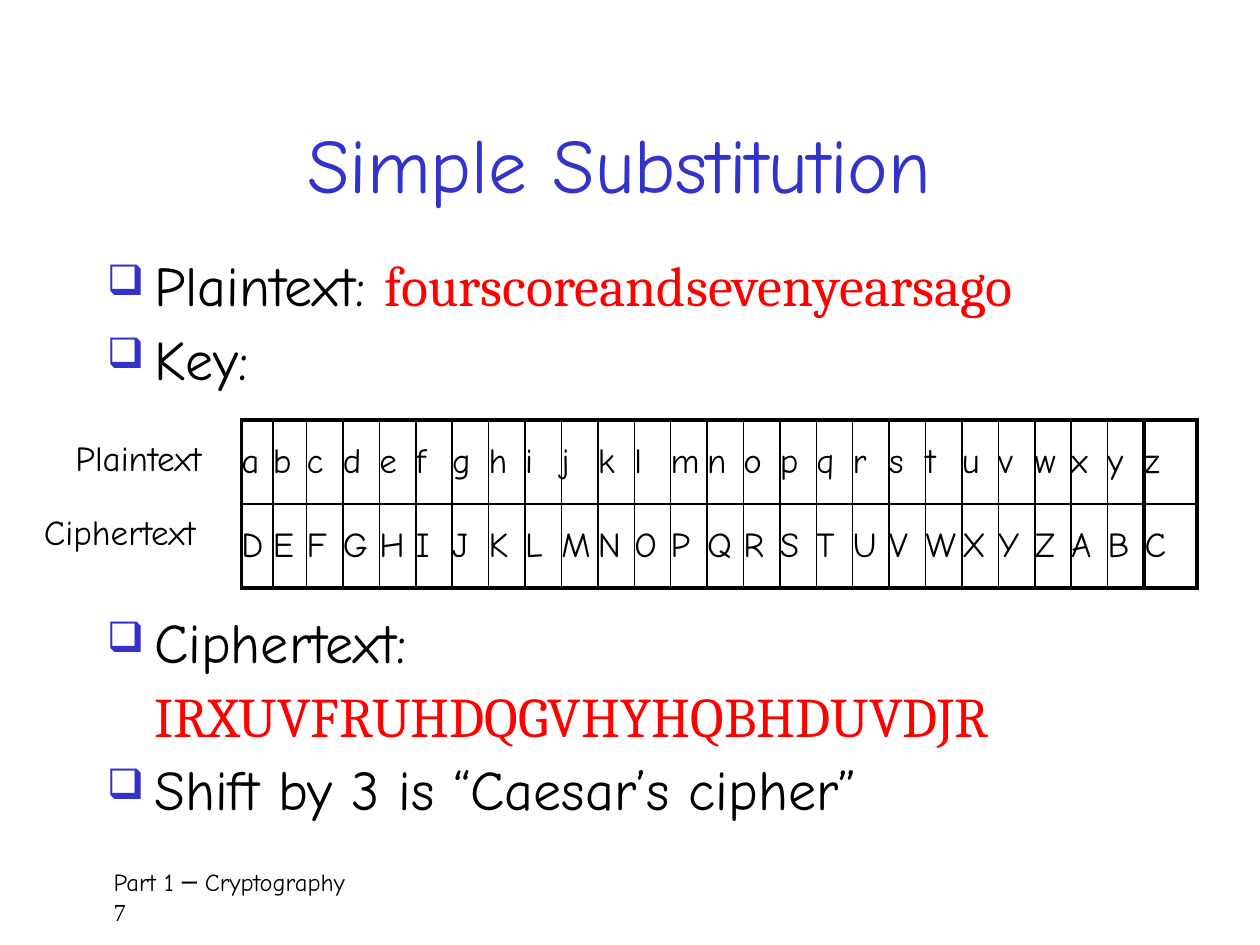
import pptx
import pptx.dml.color
import pptx.enum.text
import pptx.oxml.ns
import pptx.util
from lxml import etree

Pt = pptx.util.Pt
qn = pptx.oxml.ns.qn
COLORS = {"text": "000000", "accent": "3333CC", "cipher": "FF0000"}
HAND = "Comic Neue"
SERIF = "Cambria"


def set_font(font, name, size, color):
    font.name = name
    font.size = Pt(size)
    font.color.rgb = pptx.dml.color.RGBColor.from_string(COLORS[color])


def add_text(left, top, width, height, wrap=True):
    box = slide.shapes.add_textbox(Pt(left), Pt(top), Pt(width), Pt(height))
    box.text_frame.word_wrap = wrap
    return box.text_frame


presentation = pptx.Presentation()
presentation.slide_width = Pt(720)
presentation.slide_height = Pt(540)
slide = presentation.slides.add_slide(presentation.slide_layouts[6])

footer = add_text(54, 492, 618, 36)
footer.margin_left = Pt(11)
footer.text = "Part 1 ─ Cryptography\n7"
for line, face in zip(footer.paragraphs, (HAND, "Times New Roman")):
    set_font(line.font, face, 14, "text")

title = add_text(42, 48, 624, 90)
title.vertical_anchor = pptx.enum.text.MSO_ANCHOR.MIDDLE
title.text = "Simple Substitution"
title.paragraphs[0].alignment = pptx.enum.text.PP_ALIGN.CENTER
set_font(title.paragraphs[0].font, HAND, 44, "accent")

outlines = [
    ((54, 144, 618, 102), [
        (True, [("Plaintext: ", HAND, "text"), ("fourscoreandsevenyearsago", SERIF, "cipher")]),
        (True, [("Key:", HAND, "text")]),
    ]),
    ((54, 348, 612, 132), [
        (True, [("Ciphertext:", HAND, "text")]),
        (False, [("IRXUVFRUHDQGVHYHQBHDUVDJR", SERIF, "cipher")]),
        (True, [("Shift by 3 is “Caesar’s cipher”", HAND, "text")]),
    ]),
]
for place, points in outlines:
    outline = add_text(*place)
    for index, (bulleted, parts) in enumerate(points):
        point = outline.add_paragraph() if index else outline.paragraphs[0]
        point.line_spacing = 0.9
        if index:
            point.space_before = Pt(7.5)
        properties = point._p.get_or_add_pPr()
        properties.set("marL", str(Pt(27)))
        properties.set("indent", str(Pt(-27 if bulleted else 0)))
        if bulleted:
            bullet_color = etree.SubElement(properties, qn("a:buClr"))
            etree.SubElement(bullet_color, qn("a:srgbClr"), val=COLORS["accent"])
            etree.SubElement(properties, qn("a:buSzPct"), val="75000")
            etree.SubElement(properties, qn("a:buChar"), char="❑")
        for words, face, color in parts:
            run = point.add_run()
            run.text = words
            set_font(run.font, face, 32, color)

alphabet = "abcdefghijklmnopqrstuvwxyz"
shift = 3
shifted = (alphabet[shift:] + alphabet[:shift]).upper()
key_parts = [
    (138, alphabet[:25], shifted[:25], [18, 19.2] + [20.82] * 23),
    (654, alphabet[25:], shifted[25:], [30]),
]
for left, plain, cipher, widths in key_parts:
    key = slide.shapes.add_table(2, len(plain), Pt(left), Pt(240), Pt(sum(widths)), Pt(96)).table
    key.first_row = False
    key.horz_banding = False
    last = len(plain) - 1
    for column, width in zip(key.columns, widths):
        column.width = Pt(width)
    for row, letters in enumerate((plain, cipher)):
        for column, letter in enumerate(letters):
            cell = key.cell(row, column)
            cell.text = letter
            cell.margin_left = cell.margin_right = cell.margin_top = cell.margin_bottom = 0
            cell.vertical_anchor = pptx.enum.text.MSO_ANCHOR.MIDDLE
            set_font(cell.text_frame.paragraphs[0].font, HAND, 20, "text")
            outer_edges = {"L": column == 0, "R": column == last, "T": row == 0, "B": row == 1}
            cell_properties = cell._tc.get_or_add_tcPr()
            for side, outer in outer_edges.items():
                border = etree.SubElement(
                    cell_properties, qn(f"a:ln{side}"), w=str(Pt(2.25 if outer else 1)))
                border_fill = etree.SubElement(border, qn("a:solidFill"))
                etree.SubElement(border_fill, qn("a:srgbClr"), val=COLORS["text"])
            cell.fill.background()

for label, left, top, width in (("Plaintext", 36, 246, 98), ("Ciphertext", 18, 288, 117)):
    row_label = add_text(left, top, width, 35, wrap=False)
    row_label.text = label
    set_font(row_label.paragraphs[0].font, HAND, 20, "text")

presentation.save("out.pptx")
